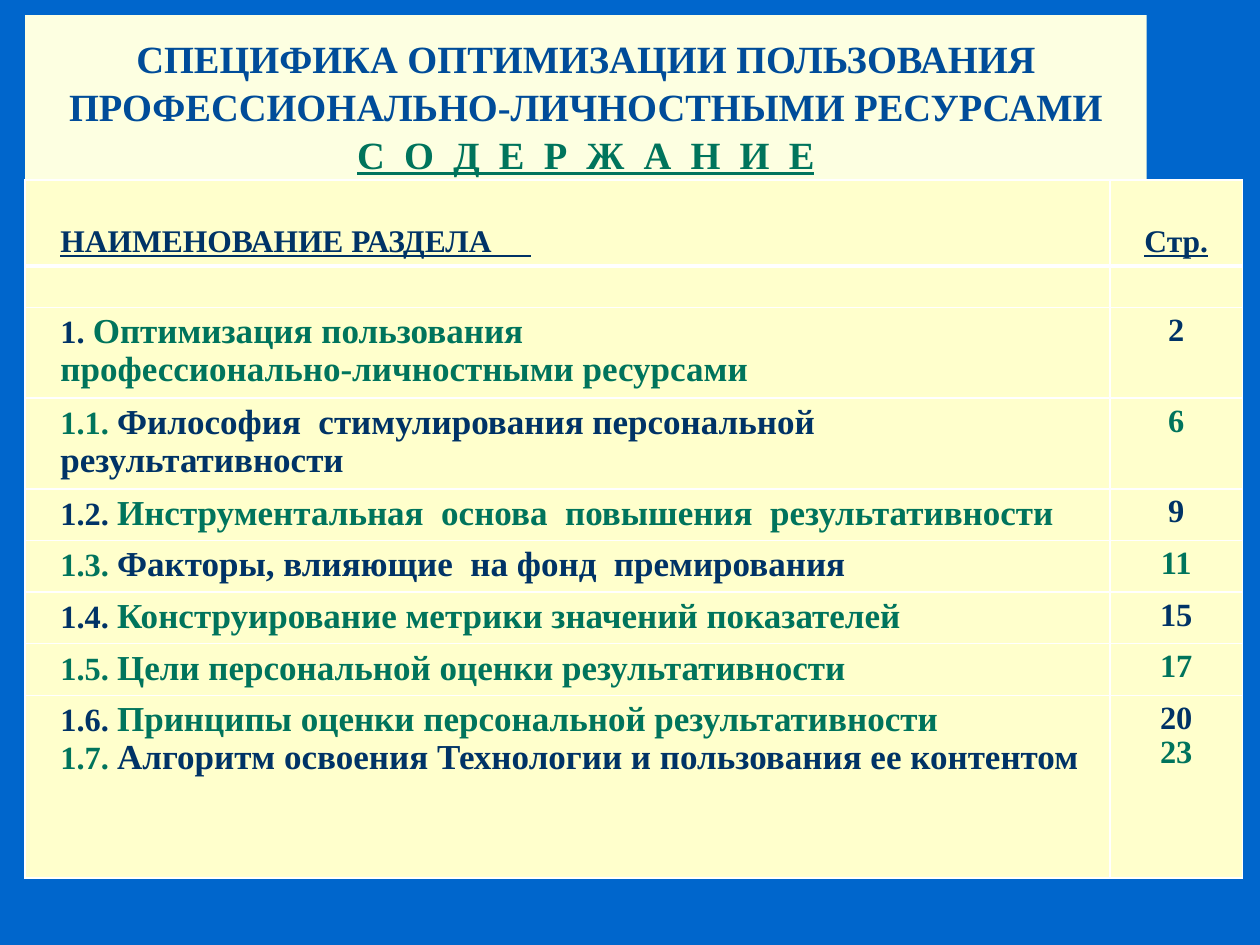
from lxml import etree
from pptx import Presentation
from pptx.dml.color import RGBColor
from pptx.enum.shapes import MSO_SHAPE
from pptx.enum.text import MSO_ANCHOR, PP_ALIGN
from pptx.oxml.ns import qn
from pptx.util import Inches, Pt

RECTANGLE = MSO_SHAPE.RECTANGLE
TOP, BOTTOM = MSO_ANCHOR.TOP, MSO_ANCHOR.BOTTOM
LEFT, CENTER = PP_ALIGN.LEFT, PP_ALIGN.CENTER

THEME = {
    "font": "Times New Roman",
    "page": "0066CC", "title_fill": "FDFFE1", "cell_fill": "FFFFCC", "border": "FFFFFF",
    "title": "004C99", "green": "00745C", "navy": "003366",
    "title_size": 22, "head_size": 18, "number_size": 18.5, "entry_size": 20, "gap_size": 10,
}

TITLE = "СПЕЦИФИКА ОПТИМИЗАЦИИ ПОЛЬЗОВАНИЯ ПРОФЕССИОНАЛЬНО-ЛИЧНОСТНЫМИ РЕСУРСАМИ"
SUBTITLE = "С  О  Д  Е  Р  Ж  А  Н  И  Е"
HEADINGS = ("НАИМЕНОВАНИЕ РАЗДЕЛА     ", "Стр.")
SECTIONS = [
    [("1.", "Оптимизация пользования\vпрофессионально-личностными ресурсами", "2", "navy", "green")],
    [("1.1.", "Философия  стимулирования персональной\vрезультативности", "6", "green", "navy")],
    [("1.2.", "Инструментальная  основа  повышения  результативности", "9", "navy", "green")],
    [("1.3.", "Факторы, влияющие  на фонд  премирования", "11", "green", "navy")],
    [("1.4.", "Конструирование метрики значений показателей", "15", "navy", "green")],
    [("1.5.", "Цели персональной оценки результативности", "17", "green", "green")],
    [("1.6.", "Принципы оценки персональной результативности", "20", "navy", "green"),
     ("1.7.", "Алгоритм освоения Технологии и пользования ее контентом", "23", "green", "navy")],
]
COLUMNS = (8.61, 1.05)
ROWS = (0.68, 0.33, 0.72, 0.72, 0.41, 0.41, 0.41, 0.41, 0.72, 0.73)


def color(name):
    return RGBColor.from_string(THEME[name])


def apply(target, values):
    for name, value in values.items():
        setattr(target, name, value)


def paint(target, name):
    target.fill.solid()
    target.fill.fore_color.rgb = color(name)


def add_spans(para, spans, align, spacing):
    apply(para, {"alignment": align, "line_spacing": spacing})
    for text, size, ink, underline in spans:
        for index, line in enumerate(text.split("\v")):
            if index:
                para.add_line_break()
            span = para.add_run()
            span.text = line
            apply(span.font, {"name": THEME["font"], "size": Pt(THEME[size]),
                              "bold": True, "underline": underline})
            span.font.color.rgb = color(ink)


def set_borders(cell, widths):
    properties = cell._tc.get_or_add_tcPr()
    for index, (side, width) in enumerate(widths.items()):
        line = etree.Element(qn(f"a:{side}"), w=str(Pt(width)))
        if width:
            fill = etree.SubElement(line, qn("a:solidFill"))
            etree.SubElement(fill, qn("a:srgbClr"), val=THEME["border"])
        else:
            etree.SubElement(line, qn("a:noFill"))
        properties.insert(index, line)


def add_title(page, left, top, width, height):
    box = page.shapes.add_shape(RECTANGLE, Inches(left), Inches(top), Inches(width), Inches(height))
    box.shadow.inherit = False
    box.line.fill.background()
    paint(box, "title_fill")
    frame = box.text_frame
    apply(frame, {"word_wrap": True, "vertical_anchor": TOP, "margin_top": Inches(0.14)})
    add_spans(frame.paragraphs[0], [(TITLE, "title_size", "title", False)], CENTER, 1.04)
    add_spans(frame.add_paragraph(), [(SUBTITLE, "title_size", "green", True)], CENTER, 1.04)


def fill_cell(cell, lines, align):
    frame = cell.text_frame
    for index, spans in enumerate(lines):
        para = frame.add_paragraph() if index else frame.paragraphs[0]
        add_spans(para, spans, align, 0.97)
    if not lines:
        frame.paragraphs[0].font.size = Pt(THEME["gap_size"])


def add_contents(page, left, top):
    frame = page.shapes.add_table(len(ROWS), len(COLUMNS), Inches(left), Inches(top),
                                  Inches(sum(COLUMNS)), Inches(sum(ROWS)))
    table = frame.table
    apply(table, {"first_row": False, "horz_banding": False})
    for column, width in zip(table.columns, COLUMNS):
        column.width = Inches(width)
    for row, height in zip(table.rows, ROWS):
        row.height = Inches(height)

    contents = [[[[(heading, "head_size", "navy", True)]] for heading in HEADINGS], [[], []]]
    for section in SECTIONS:
        entries = [[(number + " ", "number_size", ink, False), (text, "entry_size", text_ink, False)]
                   for number, text, _, ink, text_ink in section]
        numbers = [[(number, "number_size", ink, False)] for _, _, number, ink, _ in section]
        contents.append([entries, numbers])
    contents.append([[], []])

    last = len(ROWS) - 1
    for row, cells in enumerate(contents):
        for column, lines in enumerate(cells):
            cell = table.cell(row, column)
            paint(cell, "cell_fill")
            set_borders(cell, {"lnL": 1, "lnR": 1,
                               "lnT": {1: 3, last: 0}.get(row, 1),
                               "lnB": {0: 3, last - 1: 0}.get(row, 1)})
            cell.vertical_anchor = TOP if row else BOTTOM
            if column == 0:
                cell.margin_left = Inches(0.28)
            fill_cell(cell, lines, CENTER if column else LEFT)


deck = Presentation()
apply(deck, {"slide_width": Inches(10), "slide_height": Inches(7.5)})
page = deck.slides.add_slide(deck.slide_layouts[6])
paint(page.background, "page")
add_title(page, 0.2, 0.12, 8.9, 1.4)
add_contents(page, 0.2, 1.43)
deck.save("out.pptx")
